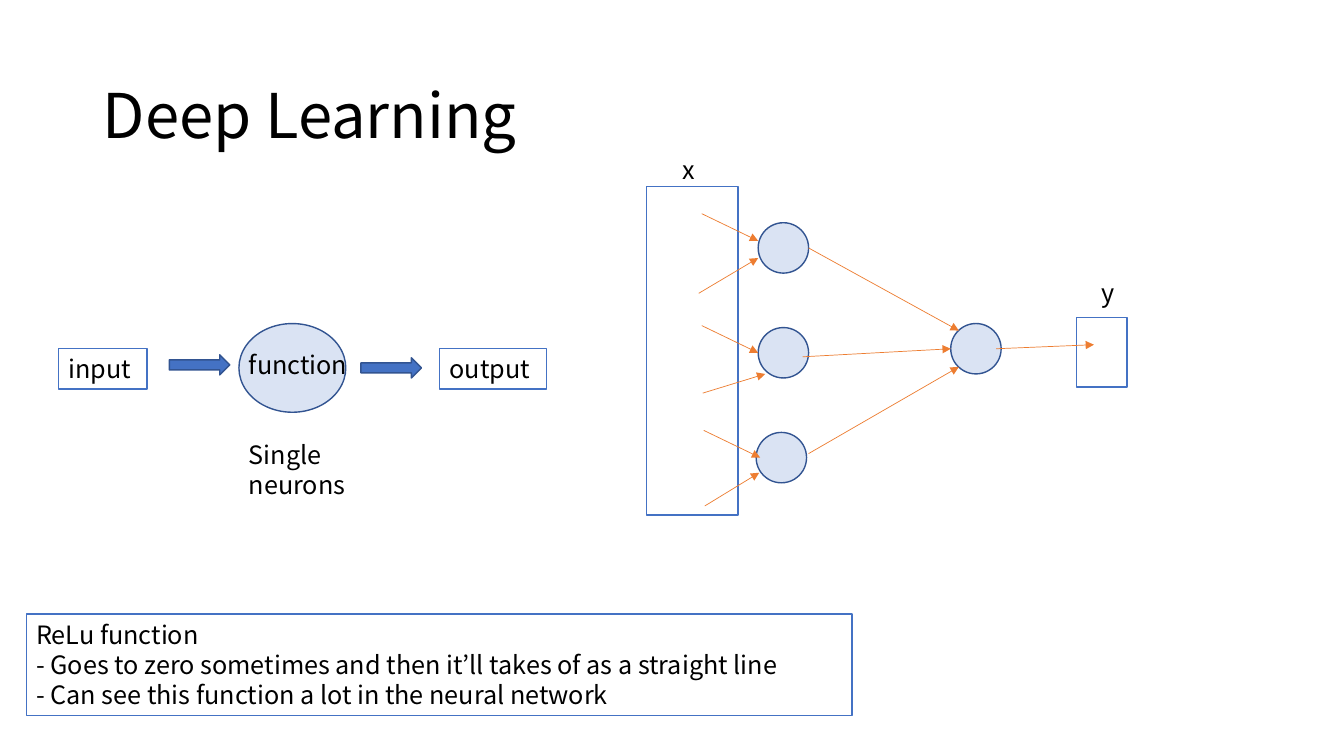
from dataclasses import dataclass
from typing import Any

from lxml import etree
from pptx import Presentation
from pptx import util as u
from pptx.dml.color import RGBColor
from pptx.enum import shapes, text
from pptx.oxml import ns

COLS, ROWS = 133.3, 75
FONT = "Noto Sans CJK KR"
WHITE, BLACK, BLUE, NAVY, PALE, ORANGE = (
    "FFFFFF", "000000", "4472C4", "325491", "DAE3F3", "ED7D31")
KIND = shapes.MSO_SHAPE
ROUND = KIND.FLOWCHART_CONNECTOR

deck = Presentation()
deck.slide_width, deck.slide_height = u.Inches(13.33), u.Inches(7.5)
slide = deck.slides.add_slide(deck.slide_layouts[6])


@dataclass
class Form:
    left: float
    top: float
    wide: float
    high: float
    kind: Any = KIND.RECTANGLE
    fill: str = WHITE
    edge: str = BLUE
    words: str = ""


@dataclass
class Label:
    left: float
    top: float
    wide: float
    high: float
    words: str
    size: int = 18
    anchor: Any = text.MSO_ANCHOR.TOP


@dataclass
class Arrow:
    x1: float
    y1: float
    x2: float
    y2: float


def col(n: float) -> int:
    return round(deck.slide_width * n / COLS)


def row(n: float) -> int:
    return round(deck.slide_height * n / ROWS)


def color(code: str) -> RGBColor:
    return RGBColor.from_string(code)


def apply(item: Any, style: dict[str, Any]) -> None:
    for name, value in style.items():
        setattr(item, name, value)


def write(shape: Any, words: str, size: int = 18,
          anchor: Any = text.MSO_ANCHOR.TOP) -> None:
    frame = shape.text_frame
    apply(frame, {"word_wrap": True, "vertical_anchor": anchor,
                  "auto_size": text.MSO_AUTO_SIZE.NONE, "text": words})
    for para in frame.paragraphs:
        apply(para, {"alignment": text.PP_ALIGN.LEFT,
                     "line_spacing": u.Pt(size * 1.2)})
        for run in para.runs:
            apply(run.font, {"name": FONT, "size": u.Pt(size)})
            run.font.color.rgb = color(BLACK)


def draw_form(form: Form) -> None:
    shape = slide.shapes.add_shape(
        form.kind, col(form.left), row(form.top), col(form.wide), row(form.high))
    shape.shadow.inherit = False
    shape.fill.solid()
    shape.fill.fore_color.rgb = color(form.fill)
    shape.line.color.rgb = color(form.edge)
    shape.line.width = u.Pt(1)
    if form.words:
        write(shape, form.words)


def draw_label(label: Label) -> None:
    shape = slide.shapes.add_textbox(
        col(label.left), row(label.top), col(label.wide), row(label.high))
    write(shape, label.words, label.size, label.anchor)


def draw_arrow(arrow: Arrow) -> None:
    link = slide.shapes.add_connector(
        shapes.MSO_CONNECTOR.STRAIGHT, col(arrow.x1), row(arrow.y1),
        col(arrow.x2), row(arrow.y2))
    link.line.color.rgb = color(ORANGE)
    link.line.width = u.Pt(0.5)
    etree.SubElement(link.line._get_or_add_ln(), ns.qn("a:tailEnd"), type="triangle")
    etree.SubElement(link._element.spPr, ns.qn("a:effectLst"))


RELU = "\n".join([
    "ReLu function",
    "- Goes to zero sometimes and then it’ll takes of as a straight line",
    "- Can see this function a lot in the neural network",
])

forms = [
    Form(106.8, 31.5, 5, 6.9),
    Form(64.1, 18.5, 9.1, 32.6),
    Form(23.7, 32.1, 10.6, 8.8, ROUND, PALE, NAVY),
    Form(5.8, 34.6, 8.8, 4, words="input"),
    Form(43.6, 34.6, 10.6, 4, words="output"),
    Form(2.6, 60.9, 81.9, 10.1, words=RELU),
]
forms += [Form(x, y, 6, 2, KIND.RIGHT_ARROW, BLUE, NAVY)
          for x, y in [(16.8, 35.2), (35.8, 35.5)]]
forms += [Form(x, 22.1 + 10.4 * i, 5, 5, ROUND, PALE, NAVY)
          for i, x in enumerate([75.2, 75.2, 75])]
forms.append(Form(94.3, 32.1, 5, 5, ROUND, PALE, NAVY))

labels = [
    Label(9.2, 4, 115, 14.5, "Deep Learning", 44, text.MSO_ANCHOR.MIDDLE),
    Label(23.7, 34.2, 12.2, 4, "function"),
    Label(23.7, 43.1, 18.1, 7.1, "Single neurons"),
    Label(66.7, 14.8, 6.5, 4, "x"),
    Label(108.3, 27, 3.4, 4, "y"),
]

arrows = [
    Arrow(80.2, 24.6, 95.1, 32.8),
    Arrow(79.6, 35.4, 94.3, 34.6),
    Arrow(80.2, 45, 95.1, 36.4),
    Arrow(98.8, 34.6, 108.5, 34.2),
    Arrow(69.3, 29.1, 75.2, 25.6),
    Arrow(69.7, 39, 75.9, 37.1),
    Arrow(69.9, 50.2, 75.3, 46.9),
]
arrows += [Arrow(x, y, x + 5.6, y + 2.7)
           for x, y in [(69.6, 21.2), (69.6, 32.3), (69.8, 42.7)]]

for group, draw in [(forms, draw_form), (labels, draw_label), (arrows, draw_arrow)]:
    for item in group:
        draw(item)

deck.save("out.pptx")
